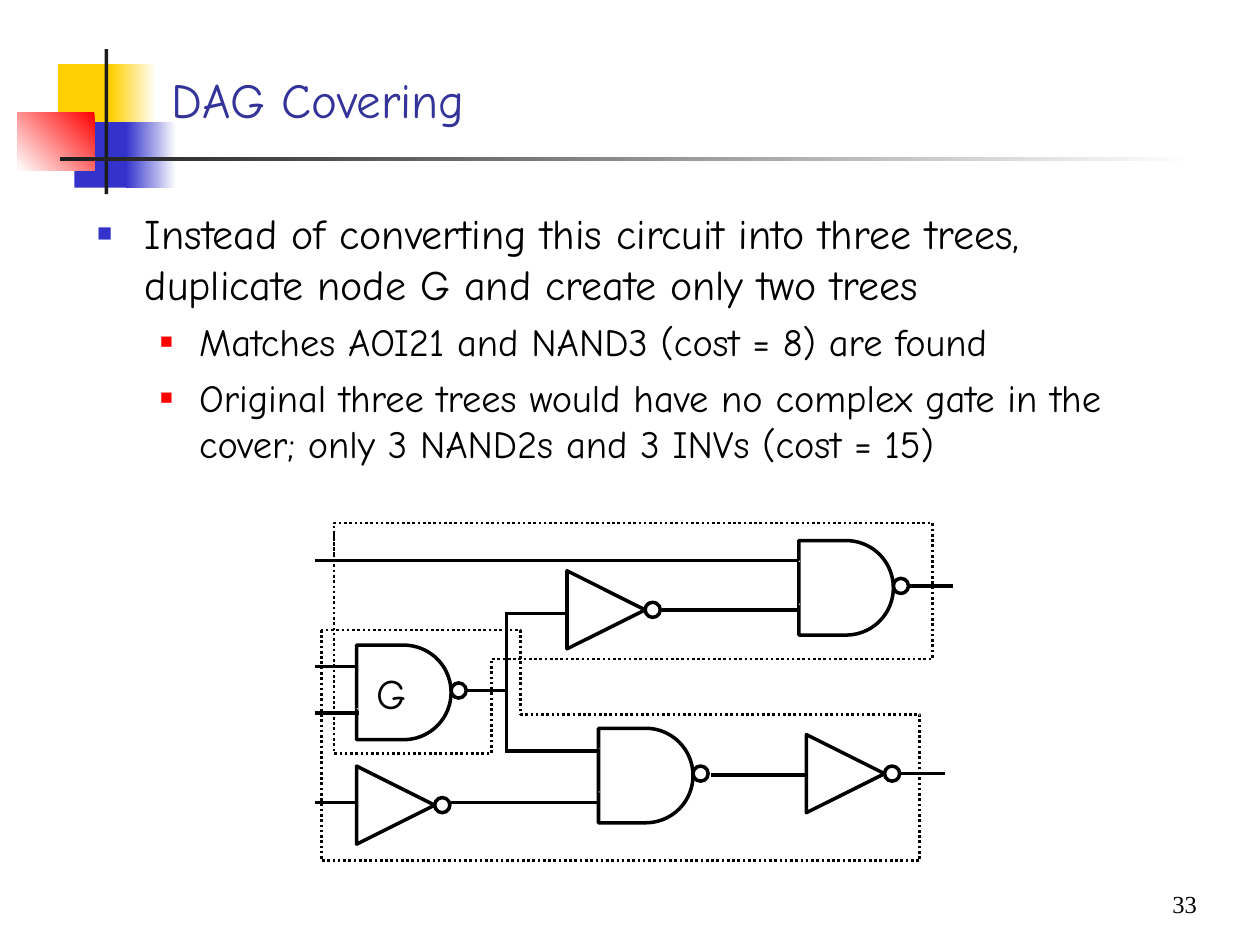
import dataclasses

import lxml.etree
import pptx
import pptx.dml.color
import pptx.enum.dml
import pptx.enum.shapes
import pptx.enum.text
import pptx.oxml.ns
import pptx.util

SHAPE = pptx.enum.shapes.MSO_SHAPE
ANCHOR = pptx.enum.text.MSO_ANCHOR
ALIGN = pptx.enum.text.PP_ALIGN
qn = pptx.oxml.ns.qn


@dataclasses.dataclass(frozen=True)
class Theme:
    font: str = "Comic Neue"
    number_font: str = "Times New Roman"
    ink: str = "000000"
    paper: str = "FFFFFF"
    title: str = "333399"
    yellow: str = "FFCF01"
    blue: str = "3333CC"
    red: str = "FF0000"
    rule: str = "1C1C1C"
    title_size: float = 28
    label_size: float = 24
    number_size: float = 14
    wire_width: float = 2
    frame_width: float = 1.5


@dataclasses.dataclass(frozen=True)
class Level:
    size: float
    margin: float
    hanging: float
    before: float
    bullet_color: str
    bullet_percent: int


THEME = Theme()
LEVELS = [
    Level(24, 3.8, 3.8, 6, THEME.blue, 60),
    Level(22, 8.1, 3.1, 5.5, THEME.red, 55),
]
BULLETS = [
    (0, "Instead of converting this circuit into three trees, "
        "duplicate node G and create only two trees"),
    (1, "Matches AOI21 and NAND3 (cost = 8) are found"),
    (1, "Original three trees would have no complex gate in the cover; "
        "only 3 NAND2s and 3 INVs (cost = 15)"),
]
NANDS = [(28.3, 51.2, "G"), (47.5, 57.8, ""), (63.4, 42.9, "")]
INVERTERS = [(45, 45.3), (28.3, 60.8), (64, 58.3)]
WIRES = [
    (25, 44.5, 63.3, 44.5), (25, 52.9, 28.4, 52.9),
    (25, 56.6, 28.5, 56.6), (25, 63.7, 28.3, 63.7),
    (35.8, 63.7, 47.5, 63.7), (37, 54.8, 40.3, 54.8),
    (40.2, 48.7, 40.2, 59.5), (40.1, 48.7, 45.1, 48.7),
    (40.1, 59.6, 47.6, 59.6), (56.4, 61.5, 63.9, 61.5),
    (52.5, 48.4, 63.4, 48.4), (72.1, 46.5, 75.6, 46.5),
    (71.5, 61.4, 75, 61.4),
]
UPPER_TREE = [(26.5, 42.3), (26.5, 59.8), (39, 59.8), (39, 52.3),
              (74, 52.3), (74, 41.5), (26.5, 41.5), (26.5, 44)]
LOWER_TREE = [(25.5, 50), (25.5, 68.3), (73, 68.3), (73, 56.7),
              (41.3, 56.7), (41.3, 50), (25.5, 50)]


def grid(*cells):
    """Convert cells of the 100 by 75 slide grid to lengths."""
    return [pptx.util.Inches(c / 10) for c in cells]


def rgb(color):
    return pptx.dml.color.RGBColor.from_string(color)


def place(s, *box):
    s.left, s.top, s.width, s.height = grid(*box)


def style_text(p, size, color=THEME.ink, font=THEME.font, align=ALIGN.LEFT):
    p.alignment = align
    for r in p.runs:
        r.font.name, r.font.size = font, pptx.util.Pt(size)
        r.font.color.rgb = rgb(color)


def style_line(line, width=THEME.wire_width):
    line.color.rgb = rgb(THEME.ink)
    line.width = pptx.util.Pt(width)


def add_solid(shapes, kind, box, fill, outlined=False):
    sp = shapes.add_shape(kind, *grid(*box))
    sp.shadow.inherit = False
    sp.fill.solid()
    sp.fill.fore_color.rgb = rgb(fill)
    if outlined:
        style_line(sp.line)
    else:
        sp.line.fill.background()
    return sp


def add_gradient(shapes, box, start, end, angle=180):
    sp = add_solid(shapes, SHAPE.RECTANGLE, box, start)
    sp.fill.gradient()
    sp.fill.gradient_angle = angle
    for stop, position, color in zip(sp.fill.gradient_stops, (0, 1), (start, end)):
        stop.position = position
        stop.color.rgb = rgb(color)


def add_ornament(shapes):
    t = THEME
    add_solid(shapes, SHAPE.RECTANGLE, (4.6, 5.1, 4.8, 5.2), t.yellow)
    add_gradient(shapes, (8.8, 5.1, 3.6, 5.2), t.paper, t.yellow)
    add_solid(shapes, SHAPE.RECTANGLE, (5.9, 9.7, 4.6, 5.2), t.blue)
    add_gradient(shapes, (10, 9.7, 4, 5.2), t.paper, t.blue)
    add_gradient(shapes, (1.4, 8.9, 6.1, 4.6), t.red, t.paper, 225)
    add_solid(shapes, SHAPE.RECTANGLE, (8.3, 3.9, 0.3, 11.5), t.rule)
    add_gradient(shapes, (4.8, 12.5, 90, 0.3), t.paper, t.rule)


def bring_to_front(shapes, s):
    shapes.element.append(s.element)


def fill_title(shapes, text):
    sp = shapes.title
    bring_to_front(shapes, sp)
    place(sp, 12.6, 2.2, 85.2, 8.5)
    tf = sp.text_frame
    tf.text = text
    tf.vertical_anchor = ANCHOR.BOTTOM
    tf.auto_size = pptx.enum.text.MSO_AUTO_SIZE.NONE
    style_text(tf.paragraphs[0], THEME.title_size, THEME.title)


def set_bullet(p, level):
    pPr = p._p.get_or_add_pPr()
    margin, indent = grid(level.margin, -level.hanging)
    pPr.set("marL", str(margin))
    pPr.set("indent", str(indent))
    color = lxml.etree.SubElement(pPr, qn("a:buClr"))
    lxml.etree.SubElement(color, qn("a:srgbClr"), val=level.bullet_color)
    lxml.etree.SubElement(pPr, qn("a:buSzPct"), val=str(level.bullet_percent * 1000))
    lxml.etree.SubElement(pPr, qn("a:buChar"), char="■")


def fill_body(shapes, sp, items):
    bring_to_front(shapes, sp)
    place(sp, 6.7, 16, 85, 52)
    tf = sp.text_frame
    tf.text = "\n".join(text for _, text in items)
    tf.auto_size = pptx.enum.text.MSO_AUTO_SIZE.NONE
    for p, (depth, _) in zip(tf.paragraphs, items):
        level = LEVELS[depth]
        p.level = depth
        p.space_before = pptx.util.Pt(level.before)
        style_text(p, level.size)
        set_bullet(p, level)


def add_bubble(shapes, x, y):
    add_solid(shapes, SHAPE.FLOWCHART_CONNECTOR, (x, y, 1.2, 1.2), THEME.paper, True)


def add_inverter(shapes, x, y):
    sp = add_solid(shapes, SHAPE.FLOWCHART_MERGE, (x, y, 6.2, 6.2), THEME.paper, True)
    sp.rotation = 270
    add_bubble(shapes, x + 6.2, y + 2.5)


def add_nand(shapes, x, y, label):
    sp = add_solid(shapes, SHAPE.FLOWCHART_DELAY, (x, y, 7.5, 7.5), THEME.paper, True)
    if label:
        tf = sp.text_frame
        tf.text = label
        tf.word_wrap = False
        tf.vertical_anchor = ANCHOR.MIDDLE
        tf.margin_left, tf.margin_right = grid(0, 0.8)
        style_text(tf.paragraphs[0], THEME.label_size, align=ALIGN.CENTER)
    add_bubble(shapes, x + 7.5, y + 3)
    for pin in (1.6, 5):
        add_solid(shapes, SHAPE.FLOWCHART_CONNECTOR, (x, y + pin, 0.1, 0.1), THEME.paper)


def add_wire(shapes, *ends):
    wire = shapes.add_connector(pptx.enum.shapes.MSO_CONNECTOR.STRAIGHT, *grid(*ends))
    style_line(wire.line)
    lxml.etree.SubElement(wire.element.spPr, qn("a:effectLst"))


def add_tree_frame(shapes, points, close):
    start, *rest = [grid(*point) for point in points]
    builder = shapes.build_freeform(*start)
    builder.add_line_segments(rest, close=close)
    sp = builder.convert_to_shape()
    sp.shadow.inherit = False
    sp.fill.background()
    style_line(sp.line, THEME.frame_width)
    sp.line.dash_style = pptx.enum.dml.MSO_LINE.ROUND_DOT


def add_page_number(shapes, text):
    tf = shapes.add_textbox(*grid(74.2, 69.2, 20.8, 5)).text_frame
    tf.text = text
    tf.word_wrap = True
    tf.vertical_anchor = ANCHOR.MIDDLE
    tf.margin_left = tf.margin_right = tf.margin_top = tf.margin_bottom = 0
    style_text(tf.paragraphs[0], THEME.number_size, font=THEME.number_font, align=ALIGN.RIGHT)


def main():
    prs = pptx.Presentation()
    prs.slide_width, prs.slide_height = grid(100, 75)
    s = prs.slides.add_slide(prs.slide_layouts[1])
    shapes = s.shapes
    add_ornament(shapes)
    fill_title(shapes, "DAG Covering")
    fill_body(shapes, s.placeholders[1], BULLETS)
    for nand in NANDS:
        add_nand(shapes, *nand)
    for inverter in INVERTERS:
        add_inverter(shapes, *inverter)
    for wire in WIRES:
        add_wire(shapes, *wire)
    add_tree_frame(shapes, UPPER_TREE, close=False)
    add_tree_frame(shapes, LOWER_TREE, close=True)
    add_page_number(shapes, "33")
    prs.save("out.pptx")


if __name__ == "__main__":
    main()
